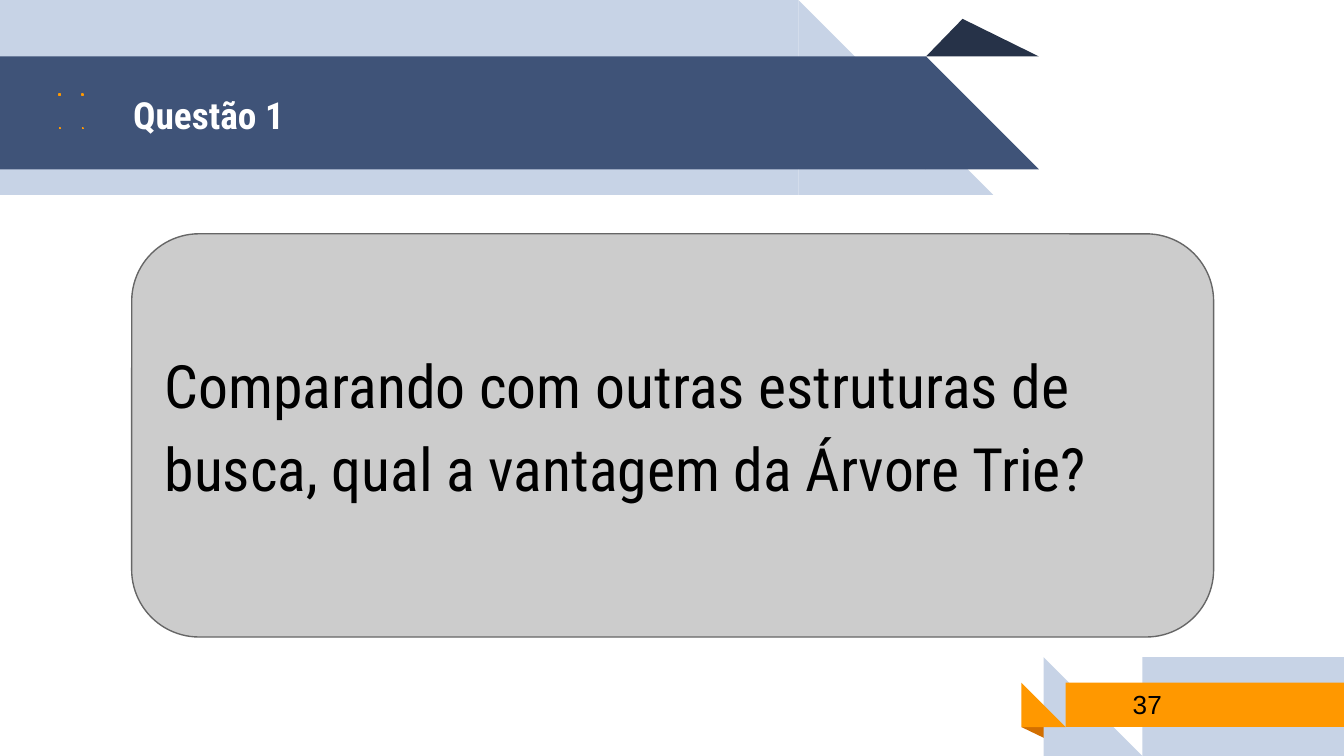
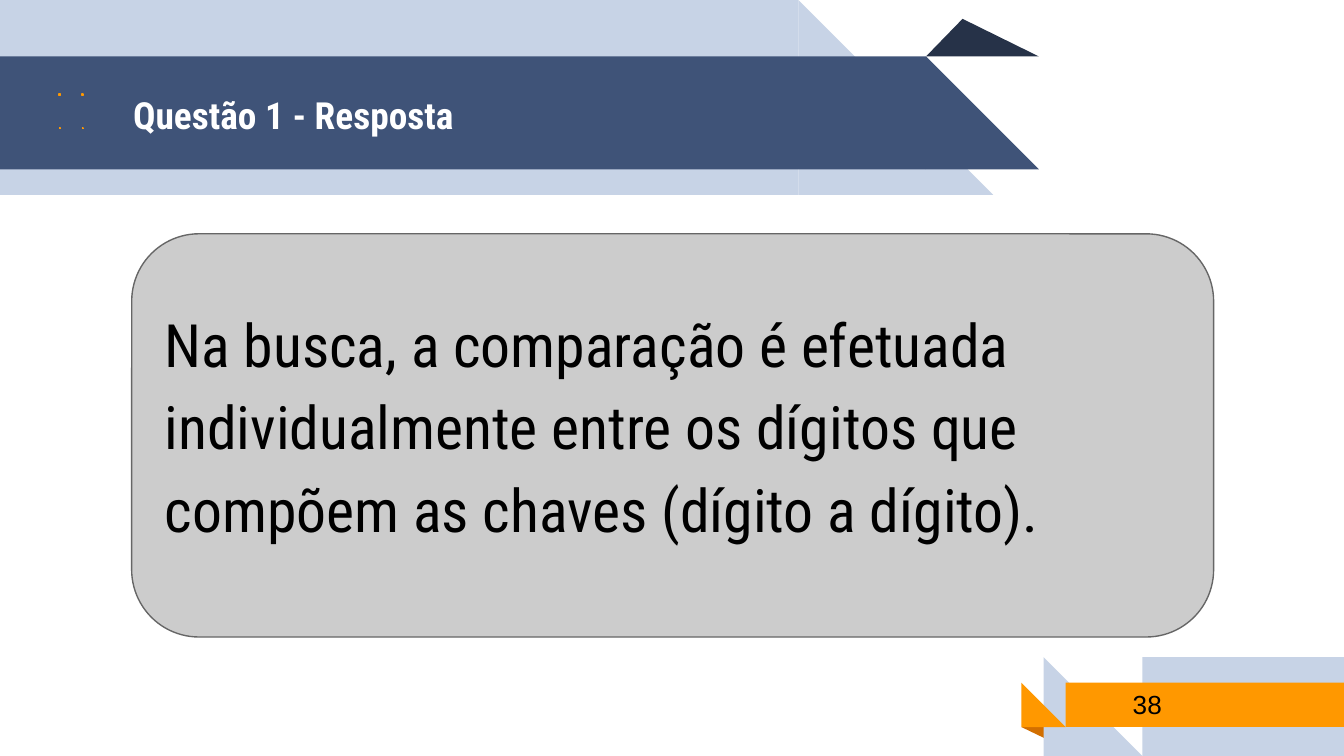
from dataclasses import dataclass

from pptx import Presentation
from pptx.dml.color import RGBColor
from pptx.enum import shapes, text
from pptx.util import Inches, Pt


@dataclass(frozen=True)
class Theme:
    navy: str = "3F5378"
    dark: str = "263248"
    pale: str = "C7D3E6"
    orange: str = "FF9800"
    rust: str = "D26F00"
    card: str = "CCCCCC"
    edge: str = "666666"
    white: str = "FFFFFF"
    black: str = "000000"
    head: str = "Roboto Condensed"
    plain: str = "Arial"
    title: int = 20
    body: int = 32
    page: int = 14


T = Theme()
KIND = shapes.MSO_SHAPE
WIDTH = 10
HEIGHT = WIDTH * 9 / 16
FOLD = 0.324

CARDS = [
    ("Questão 1", 37,
     "Comparando com outras estruturas de busca, qual a vantagem da Árvore Trie?"),
    ("Questão 1 - Resposta", 38,
     "Na busca, a comparação é efetuada individualmente entre os dígitos "
     "que compõem as chaves (dígito a dígito)."),
]


def rgb(code):
    return RGBColor.from_string(code)


def place(shape, box):
    for name, size in zip(("left", "top", "width", "height"), box):
        setattr(shape, name, Inches(size))


def draw(parent, kind, box, fill, adj=None):
    shape = parent.shapes.add_shape(kind, *map(Inches, box))
    shape.shadow.inherit = False
    shape.fill.solid()
    shape.fill.fore_color.rgb = rgb(fill)
    shape.line.fill.background()
    if adj is not None:
        shape.adjustments[0] = adj
    return shape


def write(shape, words, size, color, face=T.head, bold=False, spacing=None, bottom=0.1):
    frame = shape.text_frame
    form = {
        "word_wrap": True,
        "auto_size": text.MSO_AUTO_SIZE.NONE,
        "vertical_anchor": text.MSO_ANCHOR.MIDDLE,
        "margin_left": Inches(0.1),
        "margin_right": Inches(0.1),
        "margin_top": Inches(0.1),
        "margin_bottom": Inches(bottom),
    }
    for name, value in form.items():
        setattr(frame, name, value)
    para = frame.paragraphs[0]
    para.alignment = text.PP_ALIGN.LEFT
    para.line_spacing = spacing
    run = para.add_run()
    run.text = words
    for name, value in {"size": Pt(size), "name": face, "bold": bold}.items():
        setattr(run.font, name, value)
    run.font.color.rgb = rgb(color)


def slant(group, box, fill):
    """Bar whose right end is cut at 45 degrees."""
    left, top, width, height = box
    draw(group, KIND.RECTANGLE, box, fill)
    draw(group, KIND.RIGHT_TRIANGLE, (left + width, top, height, height), fill)


def notch(group, box, fill):
    """Bar with a right triangle set before its left end."""
    left, top, width, height = box
    draw(group, KIND.RECTANGLE, box, fill)
    draw(group, KIND.RIGHT_TRIANGLE, (left - height, top, height, height), fill)


def header(slide, left, top):
    group = slide.shapes.add_group_shape()
    draw(group, KIND.ISOSCELES_TRIANGLE, (left + 6.89, top + 0.14, 0.84, 0.28), T.dark, FOLD)
    slant(group, (left, top, 5.94, 1.45), T.pale)
    slant(group, (left, top + 0.42, 6.89, 0.84), T.navy)
    return group


def footer(slide, left, top):
    group = slide.shapes.add_group_shape()
    fold = draw(group, KIND.ISOSCELES_TRIANGLE, (left, top + 0.52, 0.43, 0.14), T.rust, FOLD)
    fold.rotation = 180
    notch(group, (left + 0.9, top, WIDTH - left - 0.9, HEIGHT - top), T.pale)
    notch(group, (left + 0.33, top + 0.19, WIDTH - left - 0.33, 0.33), T.orange)
    return group


def share(slide):
    """Move the bands from the slide to the back of its layout."""
    layout = slide.slide_layout
    for holder in list(layout.placeholders):
        if holder.placeholder_format.type != shapes.PP_PLACEHOLDER.TITLE:
            holder.element.getparent().remove(holder.element)
    bands = [header(slide, 0, 0), footer(slide, 7.6, 4.89)]
    for spot, band in enumerate(bands, start=2):
        layout.shapes.element.insert(spot, band.element)


def marks(slide, left, top):
    """Four small orange dots: open strokes below, closed outlines above."""
    group = slide.shapes.add_group_shape()
    dot = 0.01
    for down, close in ((0.25, False), (0, True)):
        for over in (0, 0.17):
            x, y = left + over, top + down
            steps = [(dot, 0), (dot, dot)] + [(0, dot)] * close
            pen = group.shapes.build_freeform(Inches(x), Inches(y))
            pen.add_line_segments(
                [(Inches(x + dx), Inches(y + dy)) for dx, dy in steps], close=close)
            mark = pen.convert_to_shape()
            mark.shadow.inherit = False
            mark.fill.background()
            mark.line.color.rgb = rgb(T.orange)
            mark.line.width = Pt(0.96)


def card(slide, box, words):
    shape = draw(slide, KIND.ROUNDED_RECTANGLE, box, T.card, 0.167)
    shape.line.color.rgb = rgb(T.edge)
    shape.line.width = Pt(0.75)
    write(shape, words, T.body, T.black, spacing=1.15, bottom=0.32)


def fill_slide(slide, title, page, words):
    place(slide.shapes.title, (0.89, 0.43, 5.75, 0.84))
    write(slide.shapes.title, title, T.title, T.white, bold=True)
    number = slide.shapes.add_textbox(*map(Inches, (8.33, 5.07, 1.63, 0.34)))
    write(number, str(page), T.page, T.black, T.plain)
    marks(slide, 0.44, 0.7)
    card(slide, (0.98, 1.74, 8.05, 3), words)


def main():
    deck = Presentation()
    deck.slide_width, deck.slide_height = Inches(WIDTH), Inches(HEIGHT)
    layout = deck.slide_layouts.get_by_name("Title Only")
    slides = [deck.slides.add_slide(layout) for _ in CARDS]
    share(slides[0])
    for slide, parts in zip(slides, CARDS):
        fill_slide(slide, *parts)
    deck.save("out.pptx")


if __name__ == "__main__":
    main()
